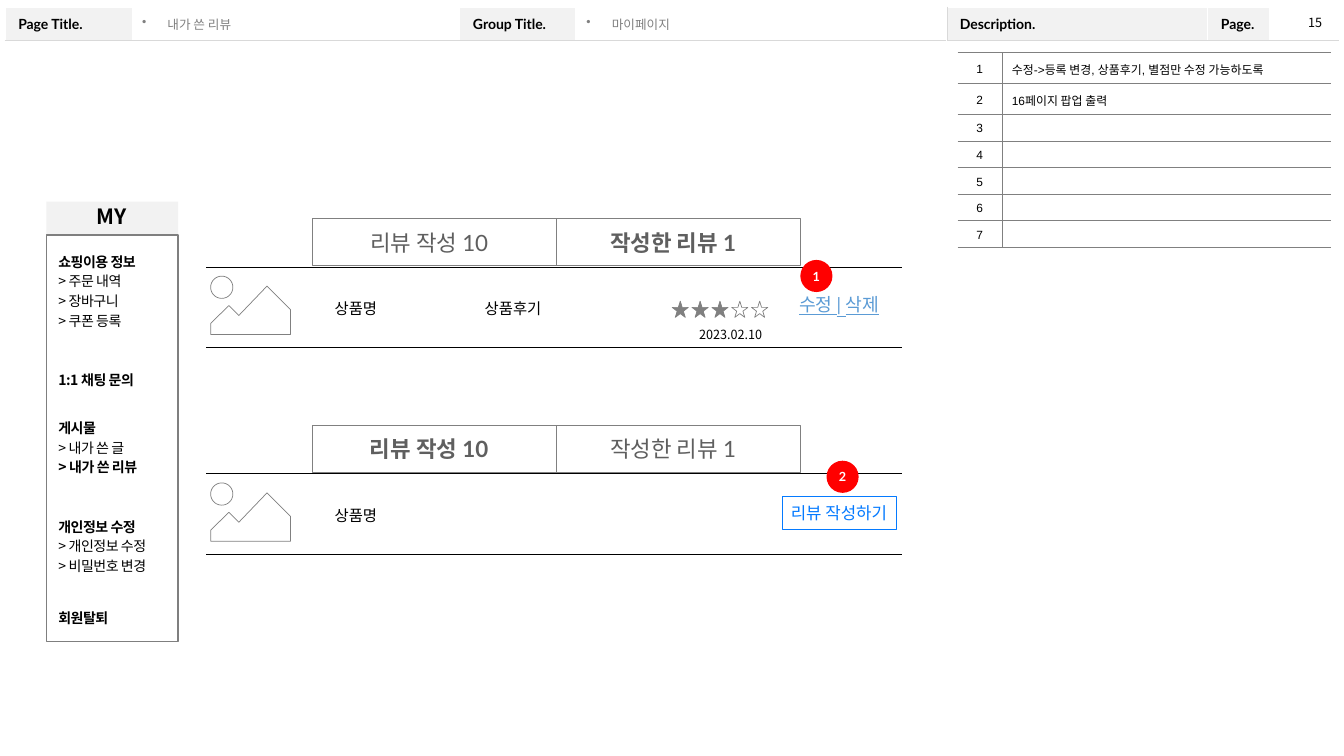
"""Build the wireframe slide for the "my reviews" page."""
from dataclasses import dataclass, replace
from math import cos, pi, sin

from lxml import etree
from pptx import Presentation
from pptx.dml.color import RGBColor
from pptx.enum.shapes import MSO_CONNECTOR, MSO_SHAPE
from pptx.enum.text import MSO_ANCHOR, PP_ALIGN
from pptx.oxml.ns import qn
from pptx.util import Cm, Pt

RECTANGLE, OVAL, STAR = MSO_SHAPE.RECTANGLE, MSO_SHAPE.OVAL, MSO_SHAPE.STAR_5_POINT
LEFT, CENTER, JUSTIFY = PP_ALIGN.LEFT, PP_ALIGN.CENTER, PP_ALIGN.JUSTIFY
TOP, MIDDLE = MSO_ANCHOR.TOP, MSO_ANCHOR.MIDDLE
KOREAN = "Noto Sans CJK KR"
BLACK, WHITE, GRAY, PALE, RULE = "000000", "FFFFFF", "808080", "F2F2F2", "D9D9D9"
BLUE, RED = "047AFF", "FF0000"
DEFAULT_INSETS = (0.25, 0.13, 0.25, 0.13)
NO_INSETS = (0, 0, 0, 0)
MOUNTAIN = [(0, 1.19), (0.46, 0.74), (0.71, 0.99), (1.42, 0.25),
            (2.01, 0.84), (2.01, 1.47), (0, 1.47)]
SUN_RADIUS = 0.28


@dataclass(frozen=True)
class Style:
    size: float
    color: str = BLACK
    font: str = KOREAN
    bold: bool = False
    underline: bool = False
    align: PP_ALIGN = LEFT
    line_spacing: float = 1.0
    tracking: int = 0


@dataclass(frozen=True)
class Label:
    text: str
    at: tuple
    style: Style
    insets: tuple = DEFAULT_INSETS
    anchor: MSO_ANCHOR = TOP
    wrap: bool = True
    bullet: bool = False


@dataclass(frozen=True)
class Menu:
    top: float
    height: float
    lines: tuple


@dataclass(frozen=True)
class Section:
    top: float
    active_tab: int


HEADER = Style(10, font="Lato", bold=True)
CRUMB = Style(9, GRAY, "Arial")
NOTE_NUMBER = Style(8.5, font="Arial", align=CENTER, line_spacing=1.2)
NOTE = replace(NOTE_NUMBER, align=JUSTIFY)
TAB = Style(16, "5F5F5F", "Lato", align=CENTER)
FIELD = Style(11, align=CENTER)
MENU = Style(10, tracking=-30)
BADGE = Style(9, WHITE, "Lato", bold=True, align=CENTER)

HEADERS = ("Page Title.", "", "Group Title.", "", "Description.", "Page.", "")
NOTES = ("수정->등록 변경, 상품후기, 별점만 수정 가능하도록", "16페이지 팝업 출력", "", "", "", "", "")
TABS = ("리뷰 작성 10", "작성한 리뷰 1")
SECTIONS = (Section(5.51, 1), Section(10.72, 0))
SELECTED_ITEM = "> 내가 쓴 리뷰"
MENUS = (
    Menu(6.2, 2.36, ("쇼핑이용 정보", "> 주문 내역", "> 장바구니", "> 쿠폰 등록")),
    Menu(9.17, 0.61, ("1:1 채팅 문의",)),
    Menu(10.39, 1.78, ("게시물", "> 내가 쓴 글", SELECTED_ITEM)),
    Menu(12.88, 1.78, ("개인정보 수정", "> 개인정보 수정", "> 비밀번호 변경")),
    Menu(15.19, 0.61, ("회원탈퇴",)),
)
LABELS = (
    Label("내가 쓴 리뷰", (3.33, 0.3, 8.23, 0.61), CRUMB, anchor=MIDDLE, bullet=True),
    Label("마이페이지", (14.53, 0.3, 9.25, 0.61), CRUMB, anchor=MIDDLE, bullet=True),
    Label("15", (32.72, 0.25, 0.86, 0.64), Style(9), wrap=False),
    Label("수정 | 삭제", (19.94, 7.29, 2.82, 0.71),
          Style(13, "5B9BD5", "Lato", underline=True), (0.2, 0.1, 0.2, 0.1)),
    Label("상품후기", (11.81, 7.42, 2.24, 0.71), FIELD),
    Label("2023.02.10", (16.94, 8.11, 2.95, 0.61), replace(FIELD, size=9)),
)
BADGES = (("1", 20.17, 6.55), ("2", 20.83, 11.61))


def rgb(value: str) -> RGBColor:
    return RGBColor.from_string(value)


def style_paragraph(para, style: Style) -> None:
    para.alignment, para.line_spacing = style.align, style.line_spacing
    if not para.runs:
        etree.SubElement(para._p, qn("a:endParaRPr"), sz=str(int(style.size * 100)))
    for span in para.runs:
        font = span.font
        font.size, font.bold, font.underline = Pt(style.size), style.bold, style.underline
        font.color.rgb, font.name = rgb(style.color), style.font
        properties = span._r.get_or_add_rPr()
        properties.set("spc", str(style.tracking))
        etree.SubElement(properties, qn("a:ea"), typeface=KOREAN)


def set_insets(holder, insets: tuple) -> None:
    (holder.margin_left, holder.margin_top,
     holder.margin_right, holder.margin_bottom) = map(Cm, insets)


def write(box, label: Label) -> None:
    frame = box.text_frame
    frame.word_wrap, frame.vertical_anchor = label.wrap, label.anchor
    set_insets(frame, label.insets)
    frame.text = label.text
    for para in frame.paragraphs:
        if label.bullet:
            properties = para._p.get_or_add_pPr()
            properties.set("marL", str(Cm(0.64)))
            properties.set("indent", str(-Cm(0.64)))
            etree.SubElement(properties, qn("a:buChar"), char="•")
        style_paragraph(para, label.style)


def add_label(page, label: Label):
    box = page.shapes.add_textbox(*map(Cm, label.at))
    write(box, label)
    return box


def paint(shape, fill: str = "", line: str = "", width: float = 0.5) -> None:
    shape.shadow.inherit = False
    if fill:
        shape.fill.solid()
        shape.fill.fore_color.rgb = rgb(fill)
    else:
        shape.fill.background()
    if line:
        shape.line.color.rgb, shape.line.width = rgb(line), Pt(width)
    else:
        shape.line.fill.background()


def add_shape(page, kind: MSO_SHAPE, at: tuple, fill: str = "", line: str = "", width: float = 0.5):
    shape = page.shapes.add_shape(kind, *map(Cm, at))
    paint(shape, fill, line, width)
    return shape


def add_rule(page, y: float) -> None:
    rule = page.shapes.add_connector(MSO_CONNECTOR.STRAIGHT, Cm(5.2), Cm(y), Cm(22.72), Cm(y))
    rule.line.color.rgb, rule.line.width = rgb(BLACK), Pt(0.5)
    etree.SubElement(rule._element.spPr, qn("a:effectLst"))


def add_photo_icon(page, left: float, top: float) -> None:
    angles = [2 * pi * step / 48 for step in range(48)]
    sun = [(SUN_RADIUS * (1 + cos(a)), SUN_RADIUS * (1 + sin(a))) for a in angles]
    mountain, sun = ([(Cm(left + x), Cm(top + y)) for x, y in part] for part in (MOUNTAIN, sun))
    builder = page.shapes.build_freeform(*mountain[0])
    builder.add_line_segments(mountain[1:])
    builder.move_to(*sun[0])
    builder.add_line_segments(sun[1:])
    paint(builder.convert_to_shape(), WHITE, GRAY)


def add_grid(page, left: float, top: float, widths: tuple, heights: tuple):
    grid = page.shapes.add_table(len(heights), len(widths), Cm(left), Cm(top),
                                 Cm(sum(widths)), Cm(sum(heights))).table
    grid.first_row = grid.horz_banding = False
    for lines, lengths in ((grid.columns, widths), (grid.rows, heights)):
        for index, length in enumerate(lengths):
            if lines is grid.columns:
                lines[index].width = Cm(length)
            else:
                lines[index].height = Cm(length)
    return grid


def set_cell(cell, text: str, style: Style, insets: tuple, borders: dict, fill: str = "") -> None:
    cell.text, cell.vertical_anchor = text, MIDDLE
    set_insets(cell, insets)
    style_paragraph(cell.text_frame.paragraphs[0], style)
    for side in "LRTB":
        color, width = borders.get(side, ("", 0))
        edge = etree.SubElement(cell._tc.get_or_add_tcPr(), qn(f"a:ln{side}"), w=str(Pt(width)))
        if color:
            etree.SubElement(etree.SubElement(edge, qn("a:solidFill")), qn("a:srgbClr"), val=color)
        else:
            etree.SubElement(edge, qn("a:noFill"))
    if fill:
        cell.fill.solid()
        cell.fill.fore_color.rgb = rgb(fill)
    else:
        cell.fill.background()


def add_page_frame(page) -> None:
    grid = add_grid(page, 0.13, 0.18, (3.2, 8.26, 2.92, 9.35, 6.58, 1.55, 1.73), (0.84, 16.94))
    for row in range(2):
        for column, title in enumerate(HEADERS):
            ruled = {"L": column == 4, "R": column == 3, "T": row == 1, "B": row == 0}
            borders = {side: (RULE, 0.25) if on else (WHITE, 1) for side, on in ruled.items()}
            text = "" if row else title
            set_cell(grid.cell(row, column), text, HEADER, (0.33, 0.18, 0.33, 0.18),
                     borders, PALE if text else "")
    grid.cell(1, 0).merge(grid.cell(1, 3))
    grid.cell(1, 4).merge(grid.cell(1, 6))


def add_notes_table(page) -> None:
    grid = add_grid(page, 24.13, 1.32, (1.12, 8.28), (0.67,) * len(NOTES))
    edge = (GRAY, 0.25)
    for row, note in enumerate(NOTES):
        set_cell(grid.cell(row, 0), str(row + 1), NOTE_NUMBER, DEFAULT_INSETS,
                 {"R": edge, "T": edge, "B": edge})
        set_cell(grid.cell(row, 1), note, NOTE, DEFAULT_INSETS, {"L": edge, "T": edge, "B": edge})


def add_section(page, section: Section) -> None:
    for index, title in enumerate(TABS):
        at = (7.87 + 6.15 * index, section.top, 6.15, 1.19)
        style = replace(TAB, bold=index == section.active_tab)
        write(add_shape(page, RECTANGLE, at, line=GRAY),
              Label(title, at, style, (0.25, 0.13, 0.51, 0.13), MIDDLE))
    add_rule(page, section.top + 1.22)
    add_rule(page, section.top + 3.25)
    add_photo_icon(page, 5.31, section.top + 1.45)
    add_label(page, Label("상품명", (7.85, section.top + 1.91, 2.24, 0.71), FIELD))


def add_side_menu(page) -> None:
    add_shape(page, RECTANGLE, (1.17, 5.08, 3.32, 0.84), PALE)
    add_label(page, Label("MY", (1.93, 5.09, 1.75, 0.66),
                          Style(15, bold=True, align=CENTER, tracking=-10), (0, 0.03, 0, 0)))
    add_shape(page, RECTANGLE, (1.17, 5.92, 3.32, 10.24), line="7F7F7F", width=1)
    for menu in MENUS:
        at = (1.47, menu.top, 2.62, menu.height)
        box = add_label(page, Label("\n".join(menu.lines), at, MENU, (0, 0.18, 0, 0)))
        for index, para in enumerate(box.text_frame.paragraphs):
            para.space_before = Pt(2 if index else 0)
            para.runs[0].font.bold = index == 0 or para.text == SELECTED_ITEM


def main() -> None:
    deck = Presentation()
    deck.slide_width, deck.slide_height = Cm(33.87), Cm(19.05)
    page = deck.slides.add_slide(deck.slide_layouts[6])
    add_page_frame(page)
    add_notes_table(page)
    for index in range(5):
        add_shape(page, STAR, (16.94 + 0.5 * index, 7.59, 0.41, 0.41), GRAY if index < 3 else "", GRAY)
    for section in SECTIONS:
        add_section(page, section)
    for label in LABELS:
        add_label(page, label)
    button = (19.71, 12.52, 2.87, 0.81)
    write(add_shape(page, RECTANGLE, button, WHITE, BLUE),
          Label("리뷰 작성하기", button, Style(12, BLUE, "Lato", align=CENTER), NO_INSETS, MIDDLE))
    add_side_menu(page)
    for number, left, top in BADGES:
        at = (left, top, 0.81, 0.81)
        write(add_shape(page, OVAL, at, RED), Label(number, at, BADGE, NO_INSETS, MIDDLE))
    deck.save("out.pptx")


if __name__ == "__main__":
    main()
